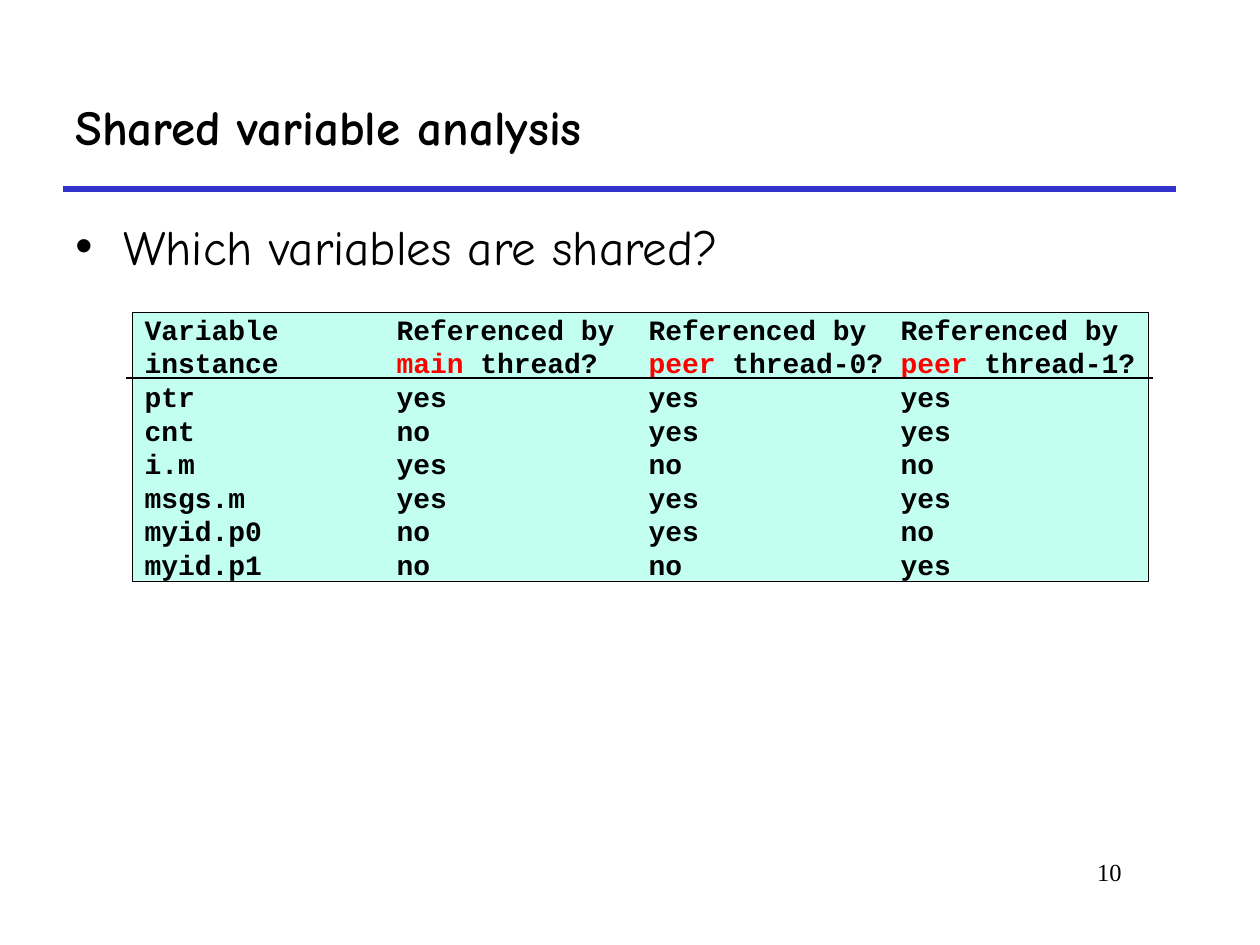
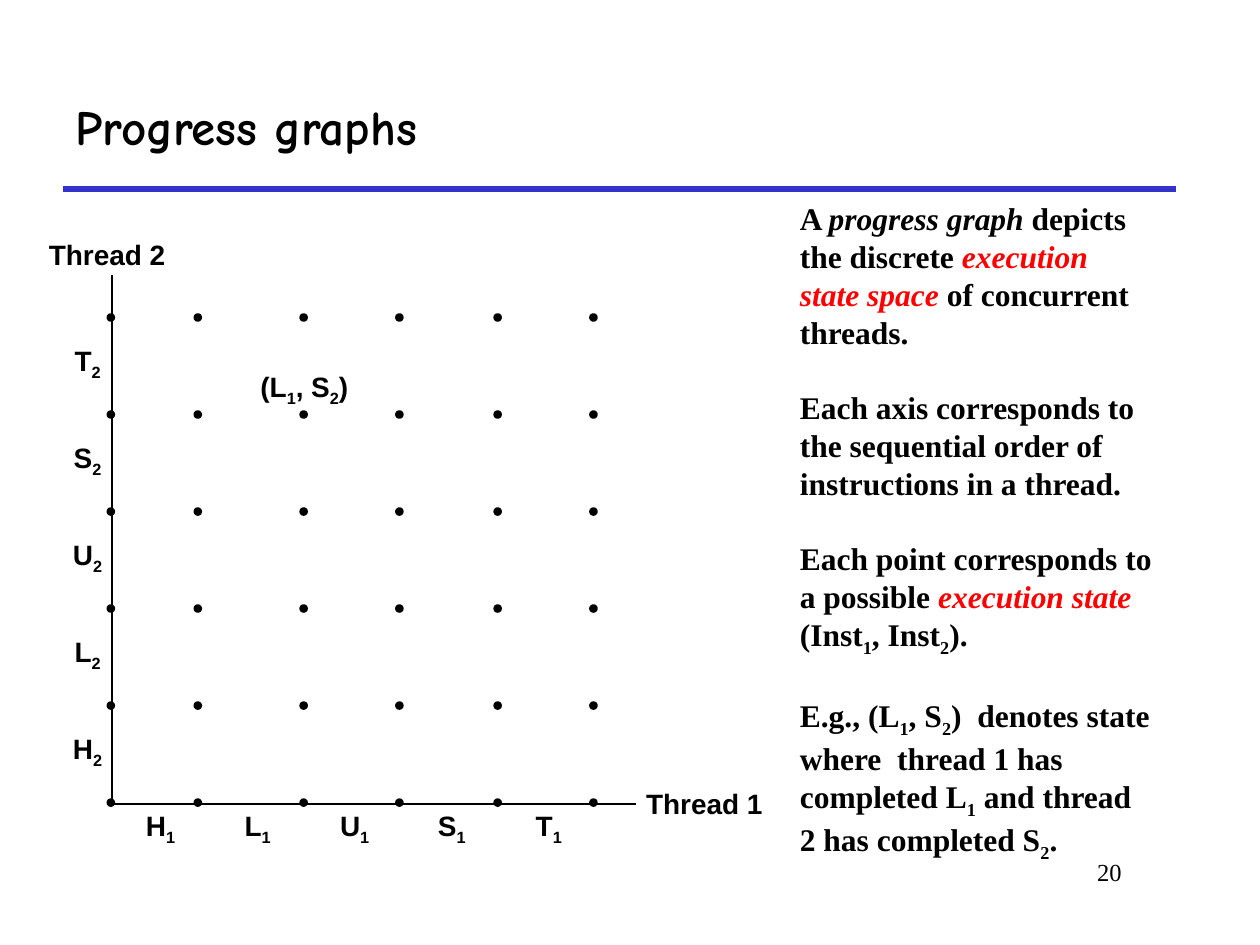
from dataclasses import dataclass
from itertools import product

from lxml.etree import SubElement
from pptx import Presentation
from pptx.dml.color import RGBColor as Color
from pptx.enum.shapes import MSO_CONNECTOR as Connector, MSO_SHAPE as Preset
from pptx.enum.text import MSO_ANCHOR as Anchor, MSO_AUTO_SIZE as AutoSize, PP_ALIGN as Align
from pptx.oxml.ns import qn
from pptx.util import Inches, Pt


@dataclass(frozen=True)
class Theme:
    ink: Color = Color(0x00, 0x00, 0x00)
    accent: Color = Color(0xFF, 0x00, 0x00)
    rule: Color = Color(0x33, 0x33, 0xCC)
    panel: Color = Color(0xC2, 0xFF, 0xF0)
    display: str = "Comic Neue"
    serif: str = "Times New Roman"
    sans: str = "Arial"
    mono: str = "Courier New"
    title_size: float = 28
    prose_size: float = 18
    label_size: float = 16
    footer_size: float = 14
    leading: float = 1.2


theme = Theme()
presentation = Presentation()
presentation.slide_width = Inches(10)
presentation.slide_height = Inches(7.5)
column = presentation.slide_width / 10
row = presentation.slide_height / 7.5


def add_text(slide, box, lines, font, size, bold=True, align=Align.LEFT,
             anchor=Anchor.MIDDLE, wrap=True, shape=None):
    if shape is None:
        left, top, width, height = box
        shape = slide.shapes.add_textbox(
            int(left * column), int(top * row), int(width * column), int(height * row))
    frame = shape.text_frame
    frame.word_wrap = wrap
    frame.vertical_anchor = anchor
    for index, line in enumerate(lines):
        paragraph = frame.paragraphs[0] if index == 0 else frame.add_paragraph()
        paragraph.alignment = align
        for span in line.split("|"):
            style = span[0] if span[0] in "~!/^" else ""
            run = paragraph.add_run()
            run.text = span[len(style):]
            run.font.name = font
            run.font.size = Pt(size)
            run.font.bold = bold
            run.font.color.rgb = theme.accent if style in ("!", "^") else theme.ink
            if style in ("/", "^"):
                run.font.italic = True
            if style == "~":
                run._r.get_or_add_rPr().set("baseline", "-25000")
    return shape


def add_line(slide, start, end, color, width):
    line = slide.shapes.add_connector(
        Connector.STRAIGHT, int(start[0] * column), int(start[1] * row),
        int(end[0] * column), int(end[1] * row))
    line.line.color.rgb = color
    line.line.width = Pt(width)
    SubElement(line._element.spPr, qn("a:effectLst"))


slides = []
for title, number in (("Shared variable analysis", "10"), ("Progress graphs", "20")):
    slide = presentation.slides.add_slide(presentation.slide_layouts[6])
    add_line(slide, (0.5, 1.5), (9.33, 1.5), theme.rule, 3)
    add_text(slide, (7.58, 6.75, 1.42, 0.5), [number], theme.serif, theme.footer_size,
             bold=False, align=Align.RIGHT, anchor=Anchor.TOP)
    add_text(slide, (0.5, 0.5, 8.83, 1), [title], theme.display, theme.title_size)
    slides.append(slide)
variables_slide, graph_slide = slides

question = add_text(variables_slide, (0.5, 1.67, 8.92, 0.83),
                    ["Which variables are shared?"], theme.display, theme.title_size,
                    bold=False, anchor=Anchor.TOP)
paragraph = question.text_frame.paragraphs[0]
paragraph.space_before = Pt(7)
properties = paragraph._p.get_or_add_pPr()
properties.set("marL", str(Inches(0.38)))
properties.set("indent", str(-Inches(0.38)))
SubElement(properties, qn("a:buFont"), typeface=theme.sans)
SubElement(properties, qn("a:buChar"), char="•")

variable_rows = [
    ("Variable", "Referenced by", "Referenced by", "Referenced by"),
    ("instance", "|!main| thread?", "|!peer| thread-0?", "|!peer| thread-1?"),
    ("ptr", "yes", "yes", "yes"),
    ("cnt", "no", "yes", "yes"),
    ("i.m", "yes", "no", "no"),
    ("msgs.m", "yes", "yes", "yes"),
    ("myid.p0", "no", "yes", "no"),
    ("myid.p1", "no", "no", "yes"),
]
panel = variables_slide.shapes.add_shape(
    Preset.RECTANGLE, int(1.05 * column), int(2.48 * row), int(8.06 * column), int(2.13 * row))
panel.shadow.inherit = False
panel.fill.solid()
panel.fill.fore_color.rgb = theme.panel
panel.line.color.rgb = theme.ink
panel.line.width = Pt(0.25)
panel.text_frame.margin_top = panel.text_frame.margin_bottom = 0
add_text(variables_slide, None, ["\t".join(cells) for cells in variable_rows],
         theme.mono, theme.label_size, wrap=False, shape=panel)
for paragraph in panel.text_frame.paragraphs:
    paragraph.line_spacing = Pt(theme.label_size * theme.leading)
    tab_list = SubElement(paragraph._p.get_or_add_pPr(), qn("a:tabLst"))
    for stop in (2, 4, 6):
        SubElement(tab_list, qn("a:tab"), pos=str(int(stop * column)), algn="l")
add_line(variables_slide, (1, 3), (9.15, 3), theme.ink, 0.75)

explanation = [
    ["A |/progress graph| depicts", "the discrete |^execution",
     "^state space| of concurrent", "threads."],
    ["Each axis corresponds to", "the sequential order of", "instructions in a thread."],
    ["Each point corresponds to", "a possible |^execution state",
     "(Inst|~1|, Inst|~2|)."],
    ["E.g., (L|~1|, S|~2|)  denotes state", "where  thread 1 has",
     "completed L|~1| and thread", "2 has completed S|~2|."],
]
lines = [line for group in explanation for line in group]
group_starts = [group[0] for group in explanation[1:]]
prose = add_text(graph_slide, (6.25, 1.53, 3.33, 5.37), lines, theme.serif, theme.prose_size)
line_height = theme.prose_size * theme.leading
subscript_drop = 3
for paragraph, line in zip(prose.text_frame.paragraphs, lines):
    paragraph.line_spacing = Pt(line_height + (subscript_drop if "~" in line else 0))
    if line in group_starts:
        paragraph.space_before = Pt(line_height)

origin = (0.89, 6.38)
add_line(graph_slide, origin, (5.05, 6.38), theme.ink, 1)
add_line(graph_slide, origin, (0.89, 2.18), theme.ink, 1)

step = 0.77
dot_size = 0.04
dot_columns = (0.86, 1.55, 2.39, 3.15, 3.93, 4.69)
dot_rows = [6.35 - step * index for index in range(6)]
for left, top in product(dot_columns, dot_rows):
    dot = graph_slide.shapes.add_shape(
        Preset.OVAL, int(left * column), int(top * row),
        int(dot_size * column), int(dot_size * row))
    dot.shadow.inherit = False
    dot.fill.solid()
    dot.fill.fore_color.rgb = theme.ink
    dot.line.color.rgb = theme.ink
    dot.line.width = Pt(2)

graph_labels = [
    ((5.03, 6.19, 1.12, 0.37), "Thread 1"),
    ((0.29, 1.83, 1.12, 0.37), "Thread 2"),
    ((1.97, 2.88, 0.89, 0.41), "(L|~1|, S|~2|)"),
]
for index, instruction in enumerate("HLUST"):
    graph_labels.append(((1.06 + 0.77 * index, 6.36, 0.43, 0.41), f"{instruction}|~1"))
    graph_labels.append(((0.48, 5.75 - step * index, 0.43, 0.41), f"{instruction}|~2"))
for box, label in graph_labels:
    text_box = add_text(graph_slide, box, [label], theme.sans, theme.label_size,
                        align=Align.CENTER, wrap=False)
    text_box.text_frame.margin_left = text_box.text_frame.margin_right = 0
    text_box.text_frame.auto_size = AutoSize.SHAPE_TO_FIT_TEXT

presentation.save("out.pptx")
